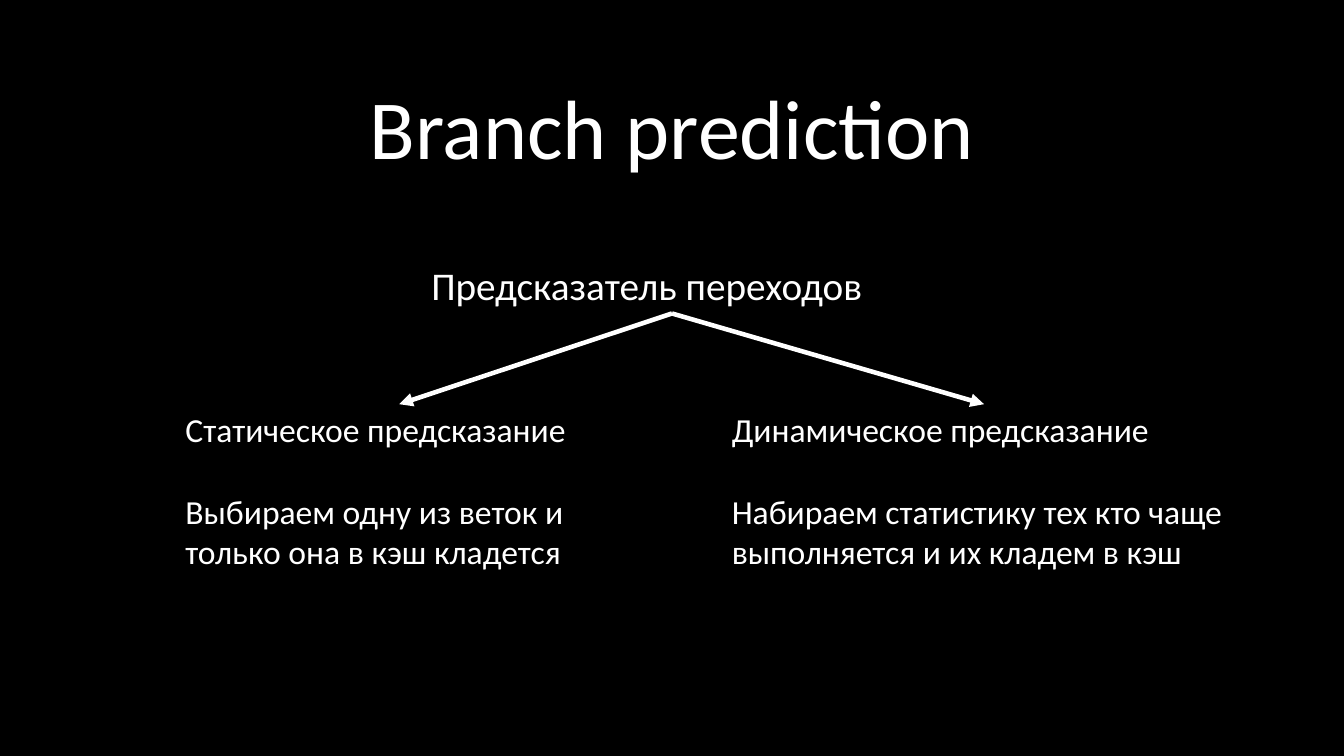
from lxml import etree
from pptx import Presentation
from pptx.dml.color import RGBColor
from pptx.enum.shapes import MSO_CONNECTOR
from pptx.enum.text import MSO_ANCHOR, MSO_AUTO_SIZE, PP_ALIGN
from pptx.oxml.ns import qn
from pptx.util import Inches, Pt

STRAIGHT = MSO_CONNECTOR.STRAIGHT
BOTTOM = MSO_ANCHOR.BOTTOM
GROW = MSO_AUTO_SIZE.SHAPE_TO_FIT_TEXT
FIXED = MSO_AUTO_SIZE.NONE
CENTER = PP_ALIGN.CENTER

WIDTH, HEIGHT = 13.33, 7.5
FONT, BLACK, WHITE = "Calibri", "000000", "FFFFFF"
LEFT = 1.74
ROOT_TOP, ROOT_HEIGHT = 2.54, 0.57
BRANCH_TOP, BRANCH_HEIGHT = 4.01, 1.72

TITLE = "Branch prediction"
ROOT = "Предсказатель переходов"
BRANCHES = [
    {
        "lines": ["Статическое предсказание",
                  "Выбираем одну из веток и только она в кэш кладется"],
        "left": LEFT, "width": 4.44,
    },
    {
        "lines": ["Динамическое предсказание",
                  "Набираем статистику тех кто чаще выполняется и их кладем в кэш"],
        "left": 7.16, "width": 5.2,
    },
]


def color(value):
    return RGBColor.from_string(value)


def format_paragraph(paragraph, size):
    for run in paragraph.runs:
        run.font.name = FONT
        run.font.size = Pt(size)
        run.font.color.rgb = color(WHITE)


def add_text(slide, lines, left, top, width, height, size):
    box = slide.shapes.add_textbox(*map(Inches, (left, top, width, height)))
    frame = box.text_frame
    frame.text = "\n".join(lines)
    frame.word_wrap = True
    frame.auto_size = GROW
    for index, paragraph in enumerate(frame.paragraphs):
        format_paragraph(paragraph, size)
        if index:
            paragraph.space_before = Pt(size * 1.22)


def add_arrow(slide, start, end):
    arrow = slide.shapes.add_connector(STRAIGHT, *map(Inches, (*start, *end)))
    arrow.line.color.rgb = color(WHITE)
    arrow.line.width = Pt(3.25)
    etree.SubElement(arrow.line._get_or_add_ln(), qn("a:tailEnd"), type="triangle")
    etree.SubElement(arrow._element.spPr, qn("a:effectLst"))


def add_title(slide):
    title = slide.shapes.title
    title.left, title.top = Inches(LEFT), Inches(0.54)
    title.width, title.height = Inches(WIDTH - 2 * LEFT), Inches(1.27)
    frame = title.text_frame
    frame.text = TITLE
    frame.word_wrap = True
    frame.auto_size = FIXED
    frame.vertical_anchor = BOTTOM
    paragraph = frame.paragraphs[0]
    paragraph.alignment = CENTER
    paragraph.line_spacing = 0.9
    format_paragraph(paragraph, 60)


def main():
    presentation = Presentation()
    presentation.slide_width, presentation.slide_height = Inches(WIDTH), Inches(HEIGHT)
    slide = presentation.slides.add_slide(presentation.slide_layouts[5])
    slide.background.fill.solid()
    slide.background.fill.fore_color.rgb = color(BLACK)

    add_title(slide)
    root_width = 4.97
    root_left = (WIDTH - root_width) / 2
    add_text(slide, [ROOT], root_left, ROOT_TOP, root_width, ROOT_HEIGHT, 28)
    for branch in BRANCHES:
        left, width = branch["left"], branch["width"]
        add_text(slide, branch["lines"], left, BRANCH_TOP, width, BRANCH_HEIGHT, 24)
        add_arrow(slide, (WIDTH / 2, ROOT_TOP + ROOT_HEIGHT),
                  (left + width / 2, BRANCH_TOP))

    presentation.save("out.pptx")


if __name__ == "__main__":
    main()
